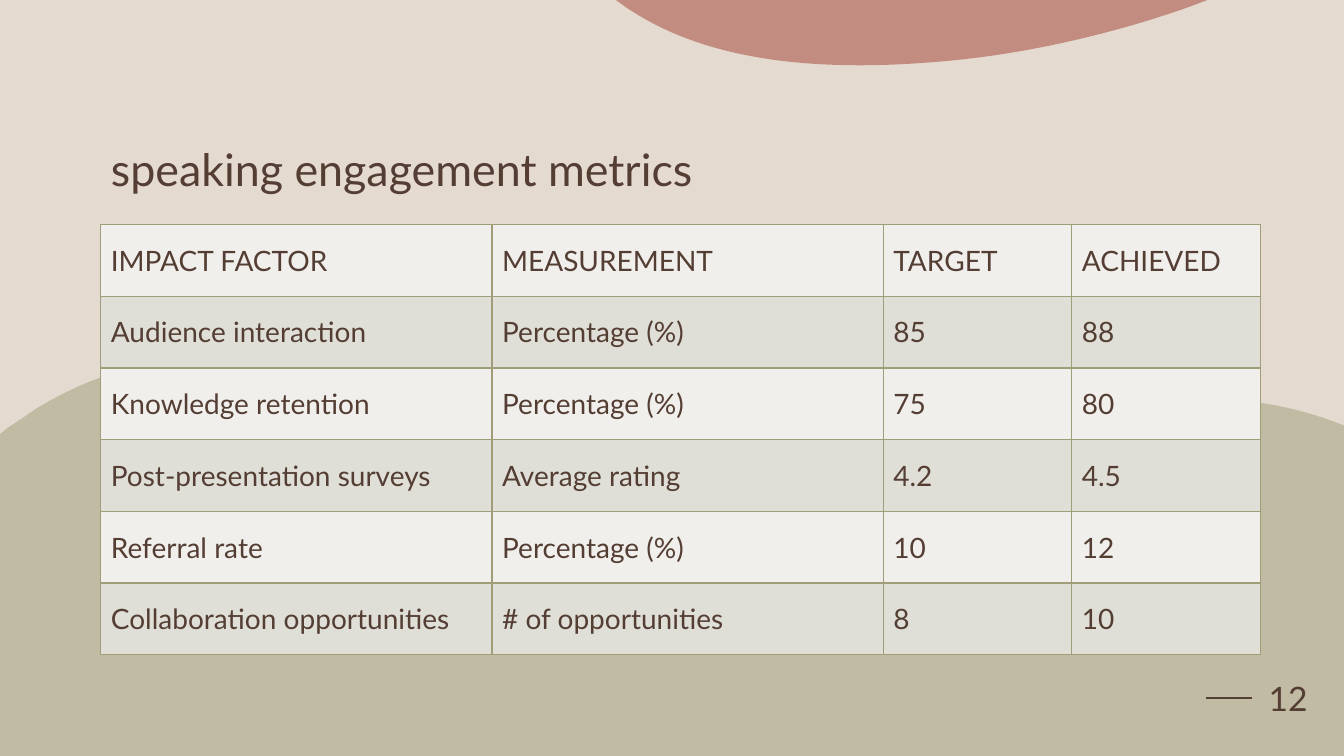
from lxml import etree
from pptx import Presentation
from pptx.dml.color import RGBColor
from pptx.enum import shapes, text
from pptx.oxml.ns import qn
from pptx.util import Cm, Pt

SAND = RGBColor(0xE5, 0xDA, 0xCF)
BROWN = RGBColor(0x54, 0x3E, 0x34)
OLIVE = RGBColor(0xA0, 0x9D, 0x79)
CLAY = RGBColor(0xAC, 0x5B, 0x4C)
ROW_FILLS = (RGBColor(0xF0, 0xEF, 0xEC), RGBColor(0xDF, 0xDF, 0xD7))
FONT = "Lato"

# Outlines in centimetres from the top left corner of their box. Each step
# lists one point for a straight line or three for a Bézier curve.
HILL = [
    [(5.13, 0)],
    [(5.99, 0.03), (6.86, 0.2), (7.72, 0.53)],
    [(8.48, 0.81), (9.14, 1.27), (9.8, 1.7)],
    [(11.25, 2.64), (12.83, 3.35), (14.66, 3.61)],
    [(16.18, 3.84), (17.73, 3.68), (19.28, 3.3)],
    [(21.01, 2.9), (22.02, 2.51), (23.06, 2.16)],
    [(24.08, 1.8), (29.49, -0.03), (33.66, 1.55)],
    [(33.87, 1.63)], [(33.87, 9.96)], [(0, 9.96)], [(0, 1.85)], [(0.18, 1.7)],
    [(0.41, 1.55), (0.64, 1.4), (0.86, 1.24)],
    [(2.29, 0.36), (3.71, -0.05), (5.13, 0)],
]
PETAL = [
    [(0, 0)], [(14.91, 0)], [(14.38, 0.2)],
    [(11.3, 1.27), (8.89, 1.5), (7.95, 1.57)],
    [(3.68, 1.91), (1.52, 1.04), (0.25, 0.18)],
]
METRICS = [
    ("IMPACT FACTOR", "MEASUREMENT", "TARGET", "ACHIEVED"),
    ("Audience interaction", "Percentage (%)", "85", "88"),
    ("Knowledge retention", "Percentage (%)", "75", "80"),
    ("Post-presentation surveys", "Average rating", "4.2", "4.5"),
    ("Referral rate", "Percentage (%)", "10", "12"),
    ("Collaboration opportunities", "# of opportunities", "8", "10"),
]
COLUMN_WIDTHS = (Cm(9.86), Cm(9.86), Cm(4.75), Cm(4.75))


def format_font(paragraph, size):
    paragraph.font.name = FONT
    paragraph.font.size = Pt(size)
    paragraph.font.bold = False
    paragraph.font.color.rgb = BROWN


def bend_lines(blob, outline):
    """Turn the straight lines of a freeform into the curves of its outline."""
    lines = list(blob._element.iter(qn("a:lnTo")))
    for line, step in zip(lines, outline[1:]):
        if len(step) == 1:
            continue
        curve = etree.Element(qn("a:cubicBezTo"))
        for x, y in step:
            etree.SubElement(curve, qn("a:pt"), x=str(Cm(x)), y=str(Cm(y)))
        line.getparent().replace(line, curve)


def add_blob(slide, left, top, outline, color, opacity):
    corners = [(Cm(step[-1][0]), Cm(step[-1][1])) for step in outline]
    builder = slide.shapes.build_freeform(*corners[0])
    builder.add_line_segments(corners[1:], close=True)
    blob = builder.convert_to_shape(left, top)
    bend_lines(blob, outline)
    blob.shadow.inherit = False
    blob.line.fill.background()
    blob.fill.solid()
    blob.fill.fore_color.rgb = color
    color_element = blob._element.spPr.find(qn("a:solidFill"))[0]
    etree.SubElement(color_element, qn("a:alpha"), val=str(opacity * 1000))


def add_title(slide, left, top, width, height):
    title = slide.shapes.title
    title.left, title.top, title.width, title.height = left, top, width, height
    title.text_frame.text = "speaking engagement metrics"
    title.text_frame.vertical_anchor = text.MSO_ANCHOR.BOTTOM
    paragraph = title.text_frame.paragraphs[0]
    paragraph.alignment = text.PP_ALIGN.LEFT
    paragraph.line_spacing = 0.9
    format_font(paragraph, 32)


def add_borders(cell):
    properties = cell._tc.get_or_add_tcPr()
    for position, side in enumerate(("a:lnL", "a:lnR", "a:lnT", "a:lnB")):
        border = etree.Element(qn(side), w=str(Pt(1)))
        fill = etree.SubElement(border, qn("a:solidFill"))
        etree.SubElement(fill, qn("a:srgbClr"), val=str(OLIVE))
        properties.insert(position, border)


def add_metrics_table(slide, left, top, height):
    frame = slide.shapes.add_table(len(METRICS), len(COLUMN_WIDTHS),
                                   left, top, sum(COLUMN_WIDTHS), height)
    table = frame.table
    table.first_row = table.horz_banding = False
    for column, width in zip(table.columns, COLUMN_WIDTHS):
        column.width = width
    for row_index, values in enumerate(METRICS):
        for column_index, value in enumerate(values):
            cell = table.cell(row_index, column_index)
            cell.text = value
            cell.vertical_anchor = text.MSO_ANCHOR.MIDDLE
            cell.fill.solid()
            cell.fill.fore_color.rgb = ROW_FILLS[row_index % 2]
            format_font(cell.text_frame.paragraphs[0], 20)
            add_borders(cell)


def add_page_number(slide, left, top, width, height):
    """Place the number in the box and a short rule to its left."""
    middle = top + height // 2
    rule = slide.shapes.add_connector(shapes.MSO_CONNECTOR.STRAIGHT,
                                      left - Cm(1.17), middle, left, middle)
    rule.line.color.rgb = BROWN
    rule.line.width = Pt(1.25)
    etree.SubElement(rule._element.spPr, qn("a:effectLst"))
    box = slide.shapes.add_textbox(left, top, width, height)
    box.text_frame.word_wrap = True
    box.text_frame.vertical_anchor = text.MSO_ANCHOR.MIDDLE
    paragraph = box.text_frame.paragraphs[0]
    paragraph.text = "12"
    paragraph.alignment = text.PP_ALIGN.CENTER
    format_font(paragraph, 24)


def main():
    presentation = Presentation()
    presentation.slide_width, presentation.slide_height = Cm(33.87), Cm(19.05)
    slide = presentation.slides.add_slide(presentation.slide_layouts[5])
    slide.background.fill.solid()
    slide.background.fill.fore_color.rgb = SAND
    add_blob(slide, Cm(0), Cm(9.09), HILL, OLIVE, 50)
    add_blob(slide, Cm(15.52), Cm(0), PETAL, CLAY, 60)
    add_title(slide, Cm(2.54), Cm(2.54), Cm(28.78), Cm(2.54))
    add_metrics_table(slide, Cm(2.54), Cm(5.66), Cm(10.84))
    add_page_number(slide, Cm(31.55), Cm(16.34), Cm(1.83), Cm(2.49))
    presentation.save("out.pptx")


if __name__ == "__main__":
    main()
